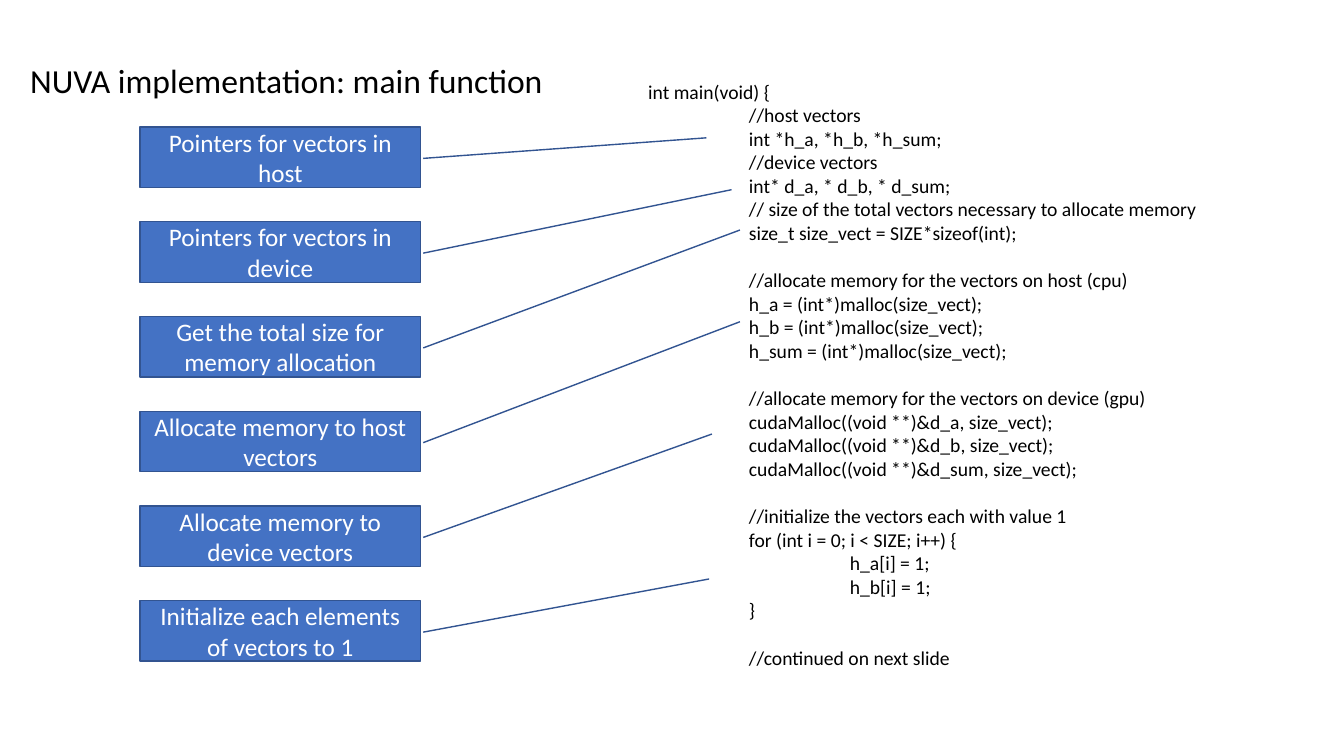
from dataclasses import dataclass

from pptx import Presentation
from pptx.dml.color import RGBColor
from pptx.enum.shapes import MSO_SHAPE
from pptx.enum.text import MSO_ANCHOR, MSO_AUTO_SIZE, PP_ALIGN
from pptx.util import Emu, Inches, Pt

CALLOUT = MSO_SHAPE.LINE_CALLOUT_1
MIDDLE = MSO_ANCHOR.MIDDLE
CENTER = PP_ALIGN.CENTER
GROW = MSO_AUTO_SIZE.SHAPE_TO_FIT_TEXT


@dataclass(frozen=True)
class Theme:
    """Colours, font and type sizes of the slide."""
    font: str = "Calibri"
    ink: RGBColor = RGBColor(0x00, 0x00, 0x00)
    label: RGBColor = RGBColor(0xFF, 0xFF, 0xFF)
    fill: RGBColor = RGBColor(0x44, 0x72, 0xC4)
    outline: RGBColor = RGBColor(0x32, 0x54, 0x91)
    title_size: int = 24
    label_size: int = 18
    code_size: int = 14
    code_gap: int = 17


@dataclass(frozen=True)
class Column:
    """Equal rows: left edge, first top, size and row pitch, in inches."""
    left: float
    top: float
    width: float
    height: float
    pitch: float

    def row_top(self, row: int) -> float:
        """Return the top of a row."""
        return self.top + row * self.pitch


@dataclass(frozen=True)
class Step:
    """A label and its pointer tip, as shares of the label's box."""
    label: str
    tip_y: float
    tip_x: float


@dataclass(frozen=True)
class CodeLine:
    """A line of code, its indent depth and whether it opens a block."""
    text: str
    depth: int = 1
    opens_block: bool = False


THEME = Theme()
STEP_COLUMN = Column(left=1.39, top=1.26, width=2.78, height=0.6, pitch=0.94)
POINTER_START = (0.52, 1.01)
STEPS = [
    Step("Pointers for vectors in host", 0.18, 2.02),
    Step("Pointers for vectors in device", -0.53, 2.11),
    Step("Get the total size for memory allocation", -1.43, 2.14),
    Step("Allocate memory to host vectors", -1.48, 2.14),
    Step("Allocate memory to device vectors", -1.19, 2.04),
    Step("Initialize each elements of vectors to 1", -0.36, 2.03),
]
CODE = [
    CodeLine("int main(void) {", 0),
    CodeLine("//host vectors"),
    CodeLine("int *h_a, *h_b, *h_sum;"),
    CodeLine("//device vectors"),
    CodeLine("int* d_a, * d_b, * d_sum;"),
    CodeLine("// size of the total vectors necessary to allocate memory"),
    CodeLine("size_t size_vect = SIZE*sizeof(int);"),
    CodeLine("//allocate memory for the vectors on host (cpu)", opens_block=True),
    CodeLine("h_a = (int*)malloc(size_vect);"),
    CodeLine("h_b = (int*)malloc(size_vect);"),
    CodeLine("h_sum = (int*)malloc(size_vect);"),
    CodeLine("//allocate memory for the vectors on device (gpu)", opens_block=True),
    CodeLine("cudaMalloc((void **)&d_a, size_vect);"),
    CodeLine("cudaMalloc((void **)&d_b, size_vect);"),
    CodeLine("cudaMalloc((void **)&d_sum, size_vect);"),
    CodeLine("//initialize the vectors each with value 1", opens_block=True),
    CodeLine("for (int i = 0; i < SIZE; i++) {"),
    CodeLine("h_a[i] = 1;", 2),
    CodeLine("h_b[i] = 1;", 2),
    CodeLine("}"),
    CodeLine("//continued on next slide", opens_block=True),
]


def style_text(paragraph, size: int, color: RGBColor) -> None:
    """Format every run of a paragraph."""
    for run in paragraph.runs:
        run.font.name = THEME.font
        run.font.size = Pt(size)
        run.font.color.rgb = color


def add_text_frame(slide, left: float, top: float, width: float, height: float):
    """Add a wrapping text box and return its text frame."""
    box = slide.shapes.add_textbox(*map(Inches, (left, top, width, height)))
    box.text_frame.word_wrap = True
    return box.text_frame


def add_title(slide, text: str) -> None:
    """Add the slide heading."""
    frame = add_text_frame(slide, 0.2, 0.09, 5.35, 1.45)
    frame.vertical_anchor = MIDDLE
    frame.text = text
    heading = frame.paragraphs[0]
    heading.line_spacing = 0.9
    style_text(heading, THEME.title_size, THEME.ink)


def add_code(slide, lines: list[CodeLine]) -> None:
    """Add the listing, one paragraph a line, indented by depth."""
    frame = add_text_frame(slide, 6.33, 0.74, 6.25, 6.23)
    frame.auto_size = GROW
    frame.text = "\n".join(line.text for line in lines)
    for paragraph, line in zip(frame.paragraphs, lines):
        paragraph._p.get_or_add_pPr().set("marL", str(Emu(Inches(line.depth))))
        if line.opens_block:
            paragraph.space_before = Pt(THEME.code_gap)
        style_text(paragraph, THEME.code_size, THEME.ink)


def add_step(slide, row: int, step: Step) -> None:
    """Add a callout that points at its part of the listing."""
    grid = STEP_COLUMN
    callout = slide.shapes.add_shape(
        CALLOUT, Inches(grid.left), Inches(grid.row_top(row)),
        Inches(grid.width), Inches(grid.height))
    callout.shadow.inherit = False
    for index, share in enumerate((*POINTER_START, step.tip_y, step.tip_x)):
        callout.adjustments[index] = share
    callout.fill.solid()
    callout.fill.fore_color.rgb = THEME.fill
    callout.line.color.rgb = THEME.outline
    callout.line.width = Pt(1)
    frame = callout.text_frame
    frame.word_wrap = True
    frame.vertical_anchor = MIDDLE
    frame.text = step.label
    frame.paragraphs[0].alignment = CENTER
    style_text(frame.paragraphs[0], THEME.label_size, THEME.label)


def main() -> None:
    """Build and save the slide."""
    deck = Presentation()
    deck.slide_width, deck.slide_height = Inches(13.33), Inches(7.5)
    slide = deck.slides.add_slide(deck.slide_layouts[6])
    add_title(slide, "NUVA implementation: main function")
    add_code(slide, CODE)
    for row, step in enumerate(STEPS):
        add_step(slide, row, step)
    deck.save("out.pptx")


main()
